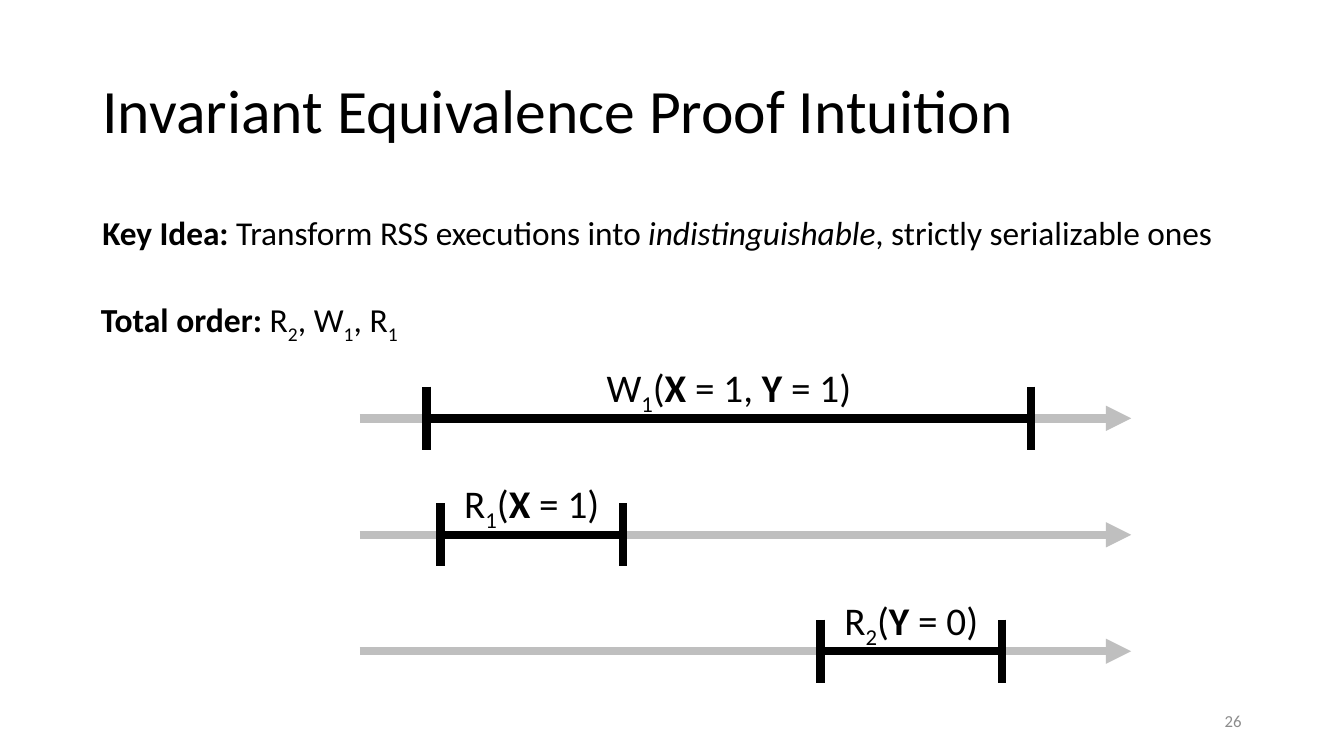
from lxml import etree
from pptx import Presentation
from pptx.dml.color import RGBColor
from pptx.enum import shapes, text
from pptx.oxml.ns import qn
from pptx.util import Pt

COLORS = {"ink": "000000", "timeline": "BFBFBF", "page": "8C8C8C"}
FONT = "Calibri"


def write_text(shape, box, segments, size, color="ink", align="LEFT", anchor="TOP",
               insets=(7.2, 3.6), spacing=1.0):
    """Place a shape and fill it with (text, style) runs; styles: b, i, sub or empty."""
    shape.left, shape.top, shape.width, shape.height = [Pt(length) for length in box]
    frame = shape.text_frame
    frame.word_wrap = True
    frame.auto_size = text.MSO_AUTO_SIZE.NONE
    frame.vertical_anchor = text.MSO_ANCHOR[anchor]
    frame.margin_left = frame.margin_right = Pt(insets[0])
    frame.margin_top = frame.margin_bottom = Pt(insets[1])
    paragraph = frame.paragraphs[0]
    paragraph.alignment = text.PP_ALIGN[align]
    paragraph.line_spacing = spacing
    for content, style in segments:
        run = paragraph.add_run()
        run.text = content
        run.font.name = FONT
        run.font.size = Pt(size)
        run.font.bold = style == "b"
        run.font.italic = style == "i"
        run.font.color.rgb = RGBColor.from_string(COLORS[color])
        if style == "sub":
            run.font._element.set("baseline", "-25000")


def add_line(x1, y1, x2, y2, color="ink", arrow=False):
    line = slide.shapes.add_connector(
        shapes.MSO_CONNECTOR.STRAIGHT, Pt(x1), Pt(y1), Pt(x2), Pt(y2))
    line.line.width = Pt(6)
    line.line.color.rgb = RGBColor.from_string(COLORS[color])
    if arrow:
        etree.SubElement(line.line._get_or_add_ln(), qn("a:tailEnd"), type="triangle")
    etree.SubElement(line._element.spPr, qn("a:effectLst"))


presentation = Presentation()
presentation.slide_width, presentation.slide_height = Pt(960), Pt(540)
slide = presentation.slides.add_slide(presentation.slide_layouts[5])

write_text(slide.shapes.title, (66, 28.8, 828, 104.4),
           [("Invariant Equivalence Proof Intuition", "")],
           size=44, anchor="MIDDLE", spacing=0.9)

write_text(slide.shapes.add_textbox(0, 0, 0, 0), (66, 153.4, 828, 44),
           [("Key Idea: ", "b"), ("Transform RSS executions into ", ""),
            ("indistinguishable", "i"), (", strictly serializable ones", "")],
           size=23.8, spacing=0.8)

write_text(slide.shapes.add_textbox(0, 0, 0, 0), (72, 213.8, 256, 34.6),
           [("Total order: ", "b"), ("R", ""), ("2", "sub"), (", W", ""), ("1", "sub"),
            (", R", ""), ("1", "sub")],
           size=24, insets=(0, 0))

# Each operation: start, end, label
operations = [
    (304.6, 736.6, [("W", ""), ("1", "sub"), ("(", ""), ("X", "b"), (" = 1, ", ""),
                    ("Y", "b"), (" = 1)", "")]),
    (314.6, 445, [("R", ""), ("1", "sub"), ("(", ""), ("X ", "b"), ("= 1)", "")]),
    (586, 715.8, [("R", ""), ("2", "sub"), ("(", ""), ("Y ", "b"), ("= 0)", "")]),
]
first_row, row_pitch, tick_half = 298.8, 83.2, 22.6

for row, (start, end, label) in enumerate(operations):
    y = first_row + row * row_pitch
    add_line(257, y, 808, y, color="timeline", arrow=True)
    write_text(slide.shapes.add_textbox(0, 0, 0, 0), (start, y - 43, end - start, 41),
               label, size=28, align="CENTER")
    add_line(start, y, end, y)
    for x in (start, end):
        add_line(x, y - tick_half, x, y + tick_half)

write_text(slide.shapes.add_textbox(0, 0, 0, 0), (678, 500.4, 216, 28.8),
           [("26", "")], size=12, color="page", align="RIGHT", anchor="MIDDLE")

presentation.save("out.pptx")
